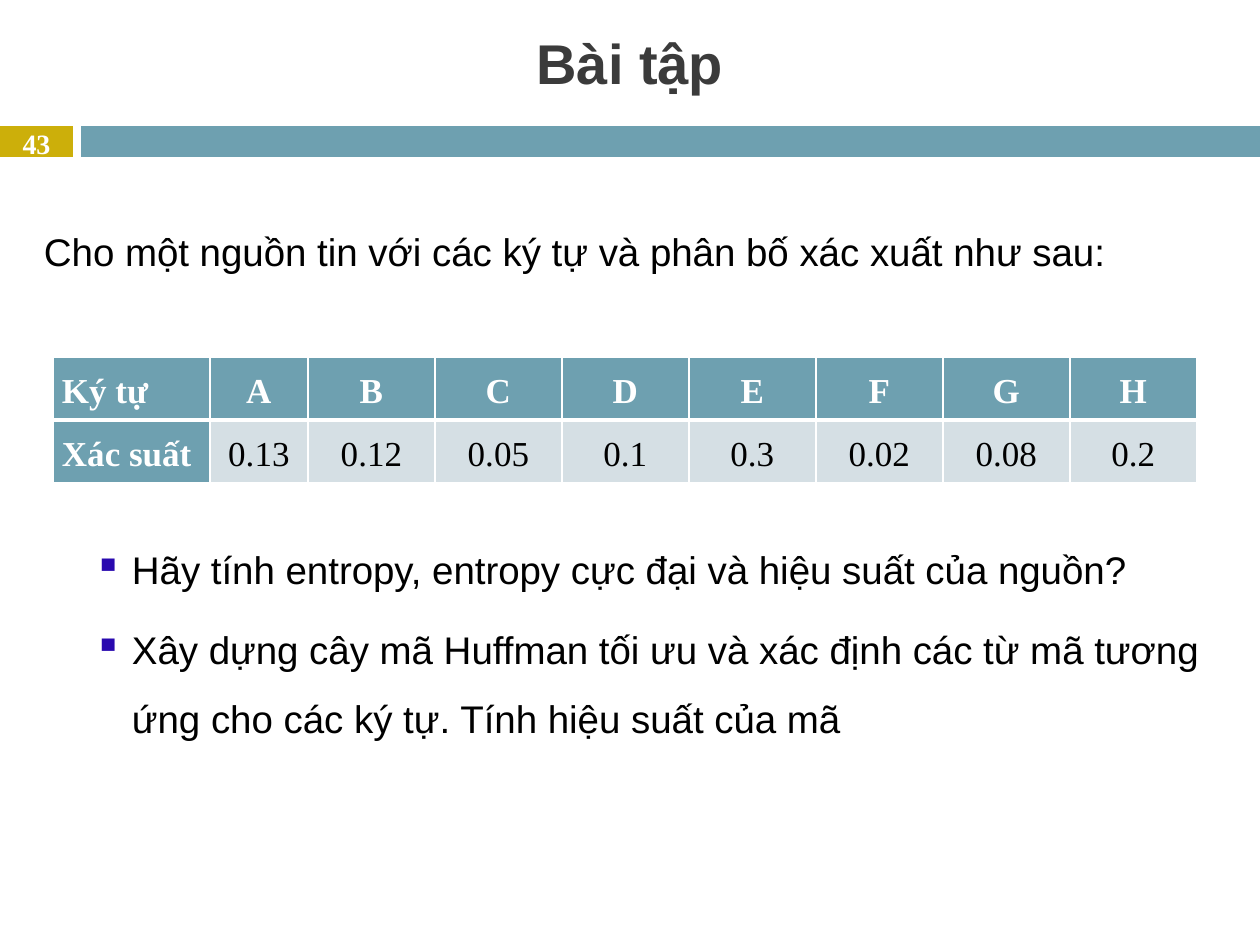
import pptx
import pptx.dml.color
import pptx.enum.shapes
import pptx.enum.text
import pptx.oxml
import pptx.oxml.ns
import pptx.util
from dataclasses import dataclass

ALIGN = pptx.enum.text.PP_ALIGN
ANCHOR = pptx.enum.text.MSO_ANCHOR
PX = 914400 / 126


def px(length):
    return pptx.util.Emu(round(length * PX))


def rgb(color):
    return pptx.dml.color.RGBColor.from_string(color)


def apply(target, values):
    for name, value in values.items():
        setattr(target, name, value)


@dataclass(frozen=True)
class Theme:
    sans: str = "Arial"
    serif: str = "Times New Roman"
    white: str = "FFFFFF"
    ink: str = "000000"
    heading: str = "3B3B3B"
    teal: str = "6EA0B0"
    pale: str = "D5DFE4"
    gold: str = "CCAF0A"
    bullet: str = "2909AF"
    title_size: int = 32
    body_size: int = 22
    table_size: int = 20
    number_size: int = 16


class SlideBuilder:
    def __init__(self, deck, theme):
        self.theme = theme
        self.page = deck.slides.add_slide(deck.slide_layouts[6])

    def bar(self, left, top, width, height, color):
        shape = self.page.shapes.add_shape(
            pptx.enum.shapes.MSO_SHAPE.RECTANGLE, *map(px, (left, top, width, height)))
        shape.shadow.inherit = False
        shape.fill.solid()
        shape.fill.fore_color.rgb = rgb(color)
        shape.line.fill.background()

    def add_text(self, para, text, font, size, color, bold=False, **layout):
        apply(para, layout)
        span = para.add_run()
        span.text = text
        apply(span.font, {"name": font, "size": pptx.util.Pt(size), "bold": bold})
        span.font.color.rgb = rgb(color)

    def frame(self, left, top, width, height, anchor=ANCHOR.TOP, inset=(12, 6)):
        box = self.page.shapes.add_textbox(*map(px, (left, top, width, height)))
        side, end = map(px, inset)
        apply(box.text_frame, {
            "word_wrap": True, "vertical_anchor": anchor,
            "margin_left": side, "margin_right": side,
            "margin_top": end, "margin_bottom": end})
        return box.text_frame

    def label(self, area, text, *style, anchor=ANCHOR.TOP, inset=(12, 6), **layout):
        frame = self.frame(*area, anchor=anchor, inset=inset)
        self.add_text(frame.paragraphs[0], text, *style, **layout)

    def bullets(self, area, items, *style, indent, hanging, gap, spacing):
        frame = self.frame(*area)
        namespace = pptx.oxml.ns.nsdecls("a")
        for index, item in enumerate(items):
            para = frame.add_paragraph() if index else frame.paragraphs[0]
            properties = para._p.get_or_add_pPr()
            properties.set("marL", str(px(indent)))
            properties.set("indent", str(px(-hanging)))
            for xml in (
                f'<a:buClr {namespace}><a:srgbClr val="{self.theme.bullet}"/></a:buClr>',
                f'<a:buChar {namespace} char="▪"/>',
            ):
                properties.append(pptx.oxml.parse_xml(xml))
            self.add_text(para, item, *style, line_spacing=spacing,
                          space_before=pptx.util.Pt(gap if index else 0))

    def border(self, cell, widths):
        properties = cell._tc.get_or_add_tcPr()
        for side, points in widths.items():
            properties.append(pptx.oxml.parse_xml(
                f'<a:ln{side} {pptx.oxml.ns.nsdecls("a")} w="{pptx.util.Pt(points)}">'
                f'<a:solidFill><a:srgbClr val="{self.theme.white}"/></a:solidFill>'
                f'</a:ln{side}>'))

    def table(self, left, top, columns, row_height, rows):
        theme = self.theme
        table = self.page.shapes.add_table(
            len(rows), len(columns), px(left), px(top),
            px(sum(columns)), px(row_height * len(rows))).table
        for column, width in zip(table.columns, columns):
            column.width = px(width)
        for r, values in enumerate(rows):
            table.rows[r].height = px(row_height)
            for c, value in enumerate(values):
                cell = table.cell(r, c)
                header = r == 0 or c == 0
                apply(cell, {"vertical_anchor": ANCHOR.MIDDLE,
                             "margin_left": px(9), "margin_right": px(9),
                             "margin_top": 0, "margin_bottom": 0})
                # The rule under the header row is heavier than the rest
                self.border(cell, {"L": 1, "R": 1, "T": 3 if r == 1 else 1,
                                   "B": 3 if r == 0 else 1})
                cell.fill.solid()
                cell.fill.fore_color.rgb = rgb(theme.teal if header else theme.pale)
                self.add_text(cell.text_frame.paragraphs[0], value, theme.serif,
                              theme.table_size, theme.white if header else theme.ink,
                              header, alignment=ALIGN.CENTER if c else ALIGN.JUSTIFY,
                              line_spacing=1.15)


def main():
    deck = pptx.Presentation()
    apply(deck, {"slide_width": px(1260), "slide_height": px(945)})
    theme = Theme()
    slide = SlideBuilder(deck, theme)

    # Header band, title and page number
    slide.bar(0, 126, 73, 31, theme.gold)
    slide.bar(81, 126, 1179, 31, theme.teal)
    slide.label((0, 10, 1260, 105), "Bài tập", theme.sans, theme.title_size,
                theme.heading, True, anchor=ANCHOR.MIDDLE, alignment=ALIGN.CENTER)
    slide.label((0, 126, 73, 34), "43", theme.serif, theme.number_size,
                theme.white, True, anchor=ANCHOR.MIDDLE, inset=(0, 0),
                alignment=ALIGN.CENTER)

    # Problem statement
    body_style = (theme.sans, theme.body_size, theme.ink)
    slide.label((32, 199, 1197, 85),
                "Cho một nguồn tin với các ký tự và phân bố xác xuất như sau:",
                *body_style, line_spacing=1.5)

    # Symbol probabilities
    slide.table(53, 357, [157, 98] + [127] * 7, 63, [
        ["Ký tự", *"ABCDEFGH"],
        ["Xác suất", "0.13", "0.12", "0.05", "0.1", "0.3", "0.02", "0.08", "0.2"],
    ])

    # Questions
    slide.bullets((32, 517, 1197, 385), [
        "Hãy tính entropy, entropy cực đại và hiệu suất của nguồn?",
        "Xây dựng cây mã Huffman tối ưu và xác định các từ mã tương ứng "
        "cho các ký tự. Tính hiệu suất của mã",
    ], *body_style, indent=88, hanging=38, gap=6, spacing=1.5)

    deck.save("out.pptx")


if __name__ == "__main__":
    main()
